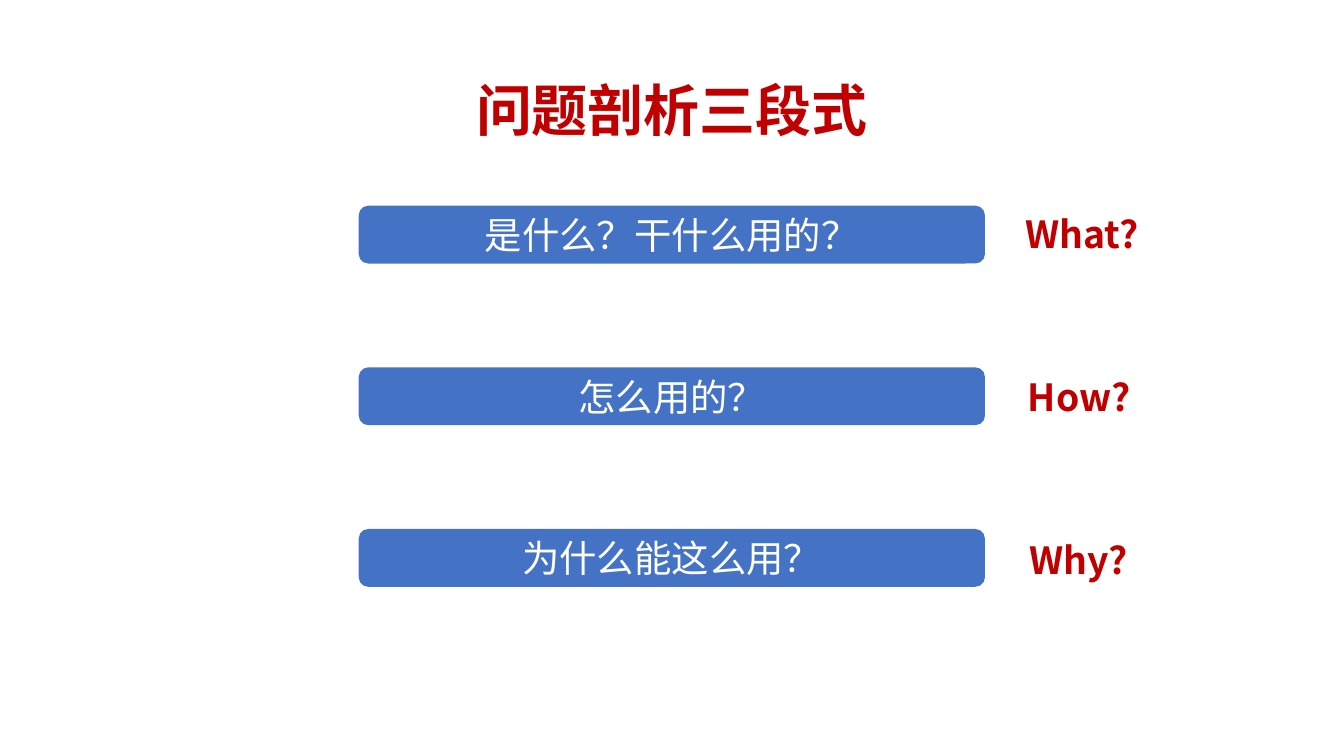
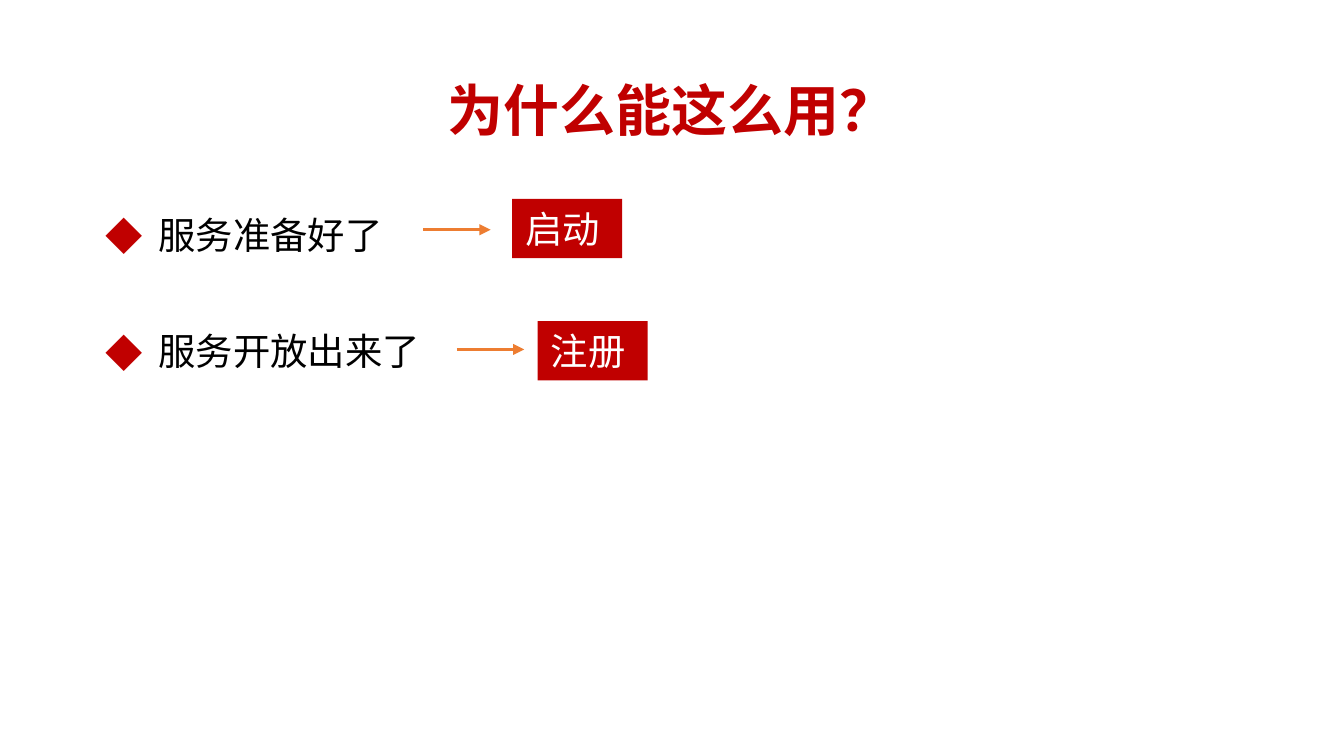
import dataclasses

import lxml.etree
import pptx
import pptx.dml.color
import pptx.enum.shapes
import pptx.enum.text
import pptx.oxml.ns
import pptx.util

Pt = pptx.util.Pt
Shape = pptx.enum.shapes.MSO_SHAPE
Anchor = pptx.enum.text.MSO_ANCHOR
Align = pptx.enum.text.PP_ALIGN
qn = pptx.oxml.ns.qn


@dataclasses.dataclass(frozen=True)
class Theme:
    font: str = "Noto Sans CJK SC"
    red: str = "C00000"
    blue: str = "4472C4"
    orange: str = "ED7D31"
    white: str = "FFFFFF"
    black: str = "000000"
    title_size: float = 30
    text_size: float = 20
    line_height: float = 26
    arrow_width: float = 1.5


class Deck:
    """Holds the style and the current slide."""

    def __init__(self, theme):
        self.theme = theme
        self.presentation = pptx.Presentation()
        self.presentation.slide_width = Pt(720)
        self.presentation.slide_height = Pt(405)
        self.slide = None

    def color(self, value):
        return pptx.dml.color.RGBColor.from_string(value)

    def add_slide(self, title):
        self.slide = self.presentation.slides.add_slide(self.presentation.slide_layouts[6])
        shape = self.text(49.7, 21.6, 620.6, 78.5, [title], self.theme.red,
                          self.theme.title_size, bold=True, align=Align.CENTER)
        shape.text_frame.paragraphs[0].line_spacing = 0.9

    def set_text(self, shape, lines, color, size, bold=False, align=Align.LEFT,
                 anchor=Anchor.MIDDLE):
        frame = shape.text_frame
        frame.text = "\n".join(lines)
        frame.word_wrap = True
        frame.auto_size = pptx.enum.text.MSO_AUTO_SIZE.NONE
        frame.vertical_anchor = anchor
        for paragraph in frame.paragraphs:
            paragraph.alignment = align
            for run in paragraph.runs:
                run.font.name = self.theme.font
                run.font.size = Pt(size)
                run.font.bold = bold
                run.font.color.rgb = self.color(color)
                # East Asian text takes its font from its own element
                east_asian = lxml.etree.SubElement(run._r.get_or_add_rPr(), qn("a:ea"))
                east_asian.set("typeface", self.theme.font)

    def text(self, left, top, width, height, lines, color, size, **style):
        shape = self.slide.shapes.add_textbox(Pt(left), Pt(top), Pt(width), Pt(height))
        self.set_text(shape, lines, color, size, **style)
        return shape

    def box(self, kind, left, top, width, height, text, fill, align):
        shape = self.slide.shapes.add_shape(kind, Pt(left), Pt(top), Pt(width), Pt(height))
        shape.shadow.inherit = False
        shape.fill.solid()
        shape.fill.fore_color.rgb = self.color(fill)
        shape.line.fill.background()
        self.set_text(shape, [text], self.theme.white, self.theme.text_size, align=align)

    def bullets(self, left, top, width, height, lines, gap, indent):
        shape = self.text(left, top, width, height, lines, self.theme.black,
                          self.theme.text_size, anchor=Anchor.TOP)
        for index, paragraph in enumerate(shape.text_frame.paragraphs):
            paragraph.line_spacing = Pt(self.theme.line_height)
            paragraph.space_before = Pt(gap if index else 0)
            properties = paragraph._p.get_or_add_pPr()
            properties.set("marL", str(Pt(indent)))
            properties.set("indent", str(-Pt(indent)))
            bullet_color = lxml.etree.SubElement(properties, qn("a:buClr"))
            lxml.etree.SubElement(bullet_color, qn("a:srgbClr")).set("val", self.theme.red)
            lxml.etree.SubElement(properties, qn("a:buFont")).set("typeface", self.theme.font)
            lxml.etree.SubElement(properties, qn("a:buChar")).set("char", "◆")

    def arrow(self, left, top, length):
        connector = self.slide.shapes.add_connector(
            pptx.enum.shapes.MSO_CONNECTOR.STRAIGHT, Pt(left), Pt(top), Pt(left + length), Pt(top))
        connector.line.color.rgb = self.color(self.theme.orange)
        connector.line.width = Pt(self.theme.arrow_width)
        properties = connector._element.spPr
        line = properties.find(qn("a:ln"))
        lxml.etree.SubElement(line, qn("a:tailEnd")).set("type", "triangle")
        lxml.etree.SubElement(properties, qn("a:effectLst"))


theme = Theme()
deck = Deck(theme)

# Slide 1: three questions, each with its English keyword
deck.add_slide("问题剖析三段式")
questions = [
    ("是什么？干什么用的？", "What?", 542.2, 77.8),
    ("怎么用的？", "How?", 543.6, 71.3),
    ("为什么能这么用？", "Why?", 544.3, 70.6),
]
for row, (question, keyword, left, width) in enumerate(questions):
    deck.box(Shape.ROUNDED_RECTANGLE, 192.2, 110.2 + 86.6 * row, 335.5, 31,
             question, theme.blue, Align.CENTER)
    deck.text(left, 109.4 + 87.4 * row, width, 31.7, [keyword],
              theme.red, theme.text_size, bold=True)

# Slide 2: two conditions, each pointing to its step
deck.add_slide("为什么能这么用？")
deck.bullets(49.7, 108, 620.6, 257, ["服务准备好了", "服务开放出来了"], gap=36.5, indent=28)
steps = [
    ("启动", 226.8, 123.1, 274.3, 106.6),
    ("注册", 244.8, 187.2, 288, 172.1),
]
for step, arrow_left, arrow_top, tag_left, tag_top in steps:
    deck.arrow(arrow_left, arrow_top, 36)
    deck.box(Shape.RECTANGLE, tag_left, tag_top, 59, 31.7, step, theme.red, Align.LEFT)

deck.presentation.save("out.pptx")
